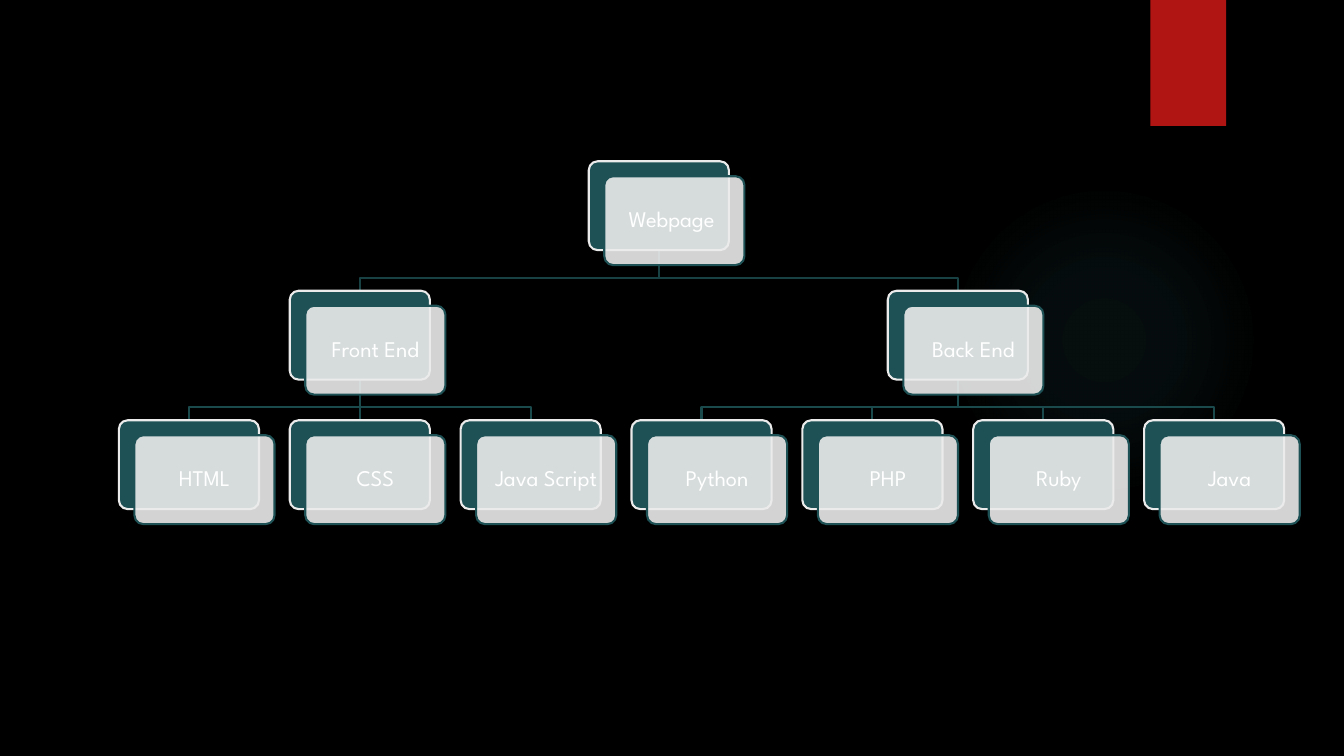
from lxml.etree import SubElement
from pptx import Presentation
from pptx.dml.color import RGBColor
from pptx.enum.shapes import MSO_CONNECTOR, MSO_SHAPE
from pptx.enum.text import MSO_ANCHOR, PP_ALIGN
from pptx.oxml import parse_xml
from pptx.oxml.ns import nsdecls, qn
from pptx.util import Pt

ROOT = "Webpage "
BRANCHES = [
    ("Front End", ["HTML", "CSS", "Java Script"]),
    (" Back End ", ["Python", "PHP", "Ruby", "Java"]),
]
GLOW_STOPS = [(0, 7), (36, 6), (69, 0)]

BLACK, WHITE, RED = "000000", "FFFFFF", "B01513"
TEAL, PALE, GLOW = "1E5155", "EBEBEB", "50B9C1"
ROOT_LINE, BRANCH_LINE = "184144", "1B4A4D"
FONT = "League Spartan"

CARD_WIDTH, CARD_HEIGHT = 100.1, 63.5
OFFSET_X, OFFSET_Y = 11.1, 10.7
FIRST_LEAF, LEAF_STEP = 84.9, 122.05
FIRST_LEVEL, LEVEL_STEP = 115.2, 92.5
BUS_GAP = 9.2
LINE_WIDTH = 1.5


def color(value):
    return RGBColor.from_string(value)


def add_shape(kind, left, top, width, height, fill=None, line=None):
    shape = slide.shapes.add_shape(kind, Pt(left), Pt(top), Pt(width), Pt(height))
    shape.shadow.inherit = False
    if fill:
        shape.fill.solid()
        shape.fill.fore_color.rgb = color(fill)
    if line:
        shape.line.color.rgb = color(line)
        shape.line.width = Pt(LINE_WIDTH)
    else:
        shape.line.fill.background()
    return shape


def add_glow(left, top, size):
    shape = add_shape(MSO_SHAPE.OVAL, left, top, size, size)
    stops = "".join(
        f'<a:gs pos="{position * 1000}"><a:srgbClr val="{GLOW}">'
        f'<a:alpha val="{alpha * 1000}"/></a:srgbClr></a:gs>'
        for position, alpha in GLOW_STOPS
    )
    gradient = parse_xml(
        f'<a:gradFill {nsdecls("a")}><a:gsLst>{stops}</a:gsLst><a:path path="circle">'
        '<a:fillToRect l="50000" t="50000" r="50000" b="50000"/></a:path></a:gradFill>'
    )
    shape._element.spPr.find(qn("a:prstGeom")).addnext(gradient)


def write_text(shape, text, size, font, text_color):
    frame = shape.text_frame
    frame.word_wrap = True
    frame.vertical_anchor = MSO_ANCHOR.MIDDLE
    frame.margin_left = frame.margin_right = Pt(5)
    frame.margin_top = frame.margin_bottom = Pt(5)
    paragraph = frame.paragraphs[0]
    paragraph.alignment = PP_ALIGN.CENTER
    paragraph.line_spacing = 0.9
    paragraph.space_after = Pt(5.6)
    run = paragraph.add_run()
    run.text = text
    run.font.size = Pt(size)
    run.font.name = font
    run.font.color.rgb = color(text_color)


def level_top(level):
    return FIRST_LEVEL + level * LEVEL_STEP


def add_card(text, left, level):
    top = level_top(level)
    back = add_shape(MSO_SHAPE.ROUNDED_RECTANGLE, left, top,
                     CARD_WIDTH, CARD_HEIGHT, TEAL, PALE)
    front = add_shape(MSO_SHAPE.ROUNDED_RECTANGLE, left + OFFSET_X, top + OFFSET_Y,
                      CARD_WIDTH, CARD_HEIGHT, PALE, TEAL)
    for card in (back, front):
        card.adjustments[0] = 0.1
    fill_color = front._element.spPr.find(qn("a:solidFill"))[0]
    SubElement(fill_color, qn("a:alpha")).set("val", "90000")
    write_text(front, text, size=16, font=FONT, text_color=WHITE)


def add_link(parent_left, child_left, level, line):
    start = Pt(parent_left + CARD_WIDTH / 2)
    end = Pt(child_left + CARD_WIDTH / 2)
    top = Pt(level_top(level) + CARD_HEIGHT)
    bottom = Pt(level_top(level + 1))
    bus = bottom - Pt(BUS_GAP)
    if abs(start - end) < Pt(1):
        link = slide.shapes.add_connector(MSO_CONNECTOR.STRAIGHT, start, top, start, bottom)
        SubElement(link._element.spPr, qn("a:effectLst"))
    else:
        builder = slide.shapes.build_freeform(start, top)
        builder.add_line_segments([(start, bus), (end, bus), (end, bottom)], close=False)
        link = builder.convert_to_shape()
        link.shadow.inherit = False
        link.fill.background()
    link.line.color.rgb = color(line)
    link.line.width = Pt(LINE_WIDTH)


presentation = Presentation()
presentation.slide_width, presentation.slide_height = Pt(960), Pt(540)
slide = presentation.slides.add_slide(presentation.slide_layouts[6])
slide.background.fill.solid()
slide.background.fill.fore_color.rgb = color(BLACK)

add_glow(677.5, 131.8, 221.8)
add_shape(MSO_SHAPE.RECTANGLE, 821.8, 0, 54, 90, RED)

cards, links, branch_lefts = [], [], []
leaf_left = FIRST_LEAF
for branch, leaves in BRANCHES:
    lefts = [leaf_left + index * LEAF_STEP for index in range(len(leaves))]
    branch_left = (lefts[0] + lefts[-1]) / 2
    branch_lefts.append(branch_left)
    cards.append((branch, branch_left, 1))
    cards += [(leaf, left, 2) for leaf, left in zip(leaves, lefts)]
    links += [(branch_left, left, 1, BRANCH_LINE) for left in lefts]
    leaf_left = lefts[-1] + LEAF_STEP

root_left = sum(branch_lefts) / len(branch_lefts)
cards.insert(0, (ROOT, root_left, 0))
links += [(root_left, left, 0, ROOT_LINE) for left in branch_lefts]

for link in links:
    add_link(*link)
for card in cards:
    add_card(*card)

presentation.save("out.pptx")
